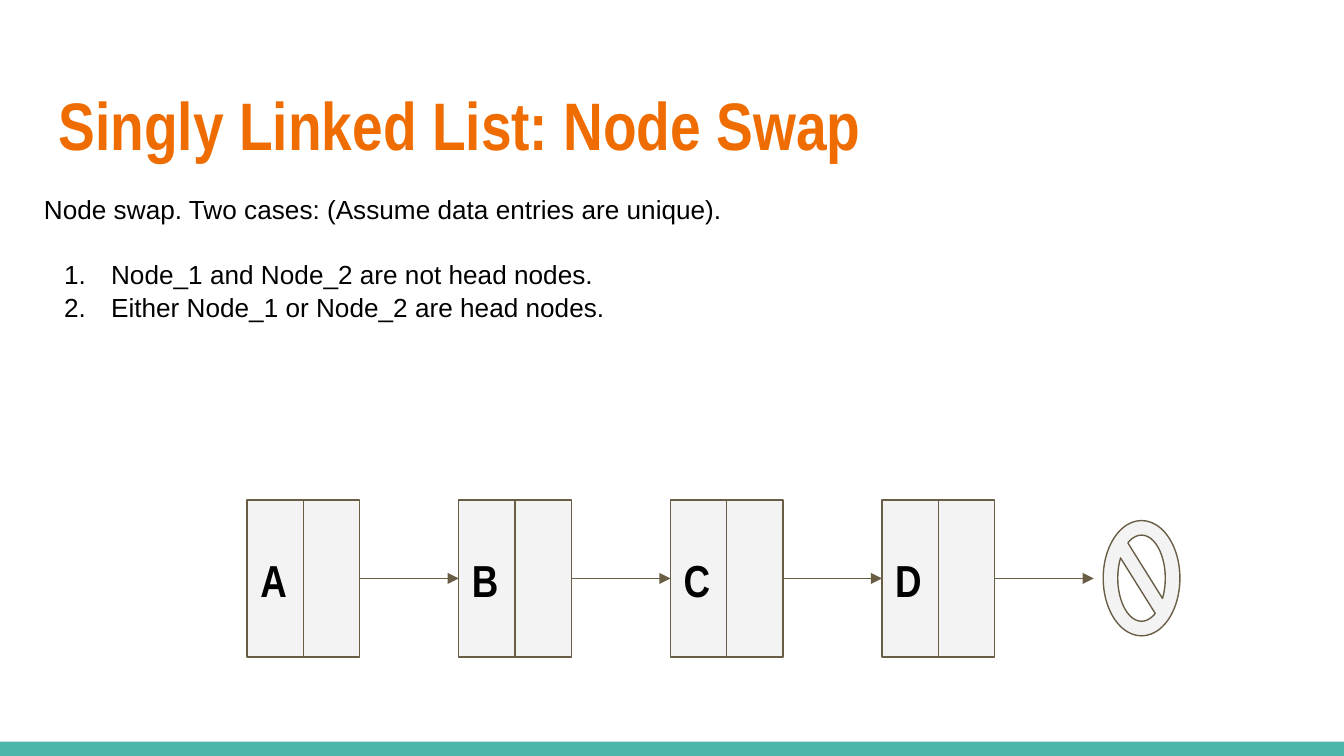
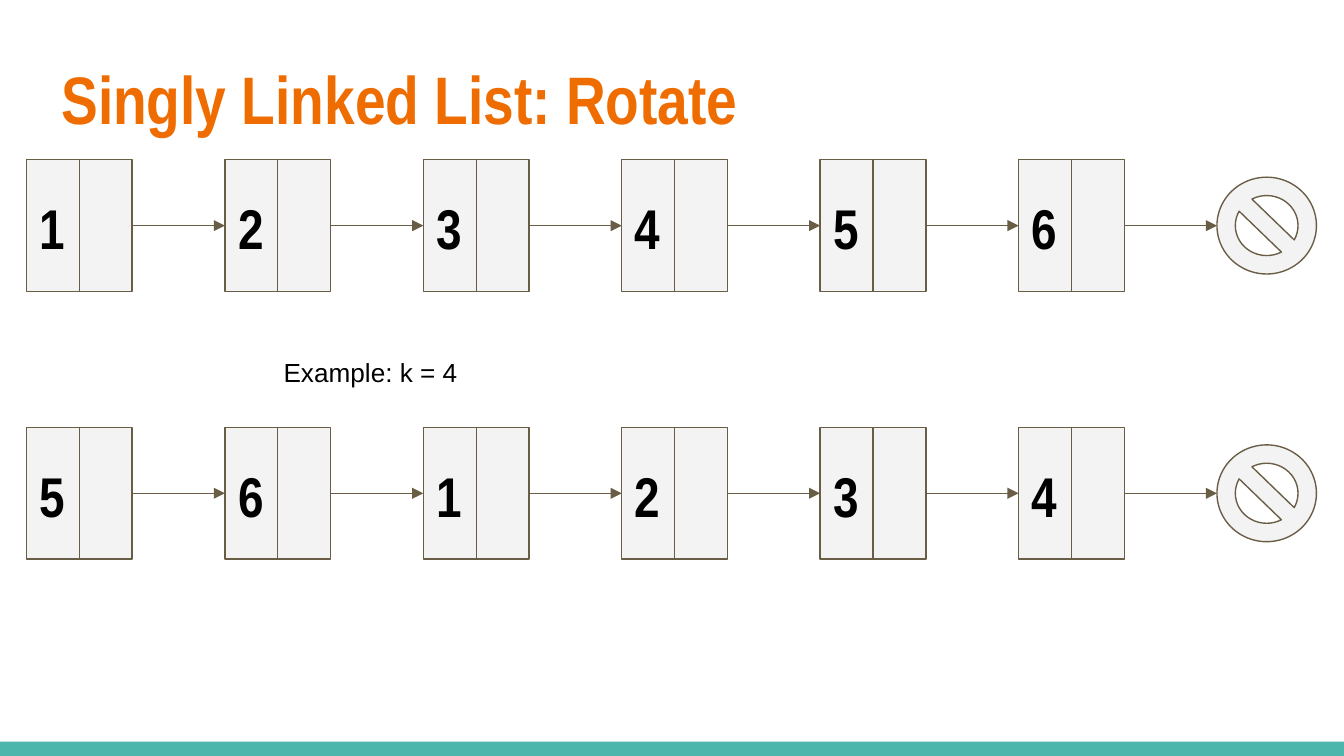
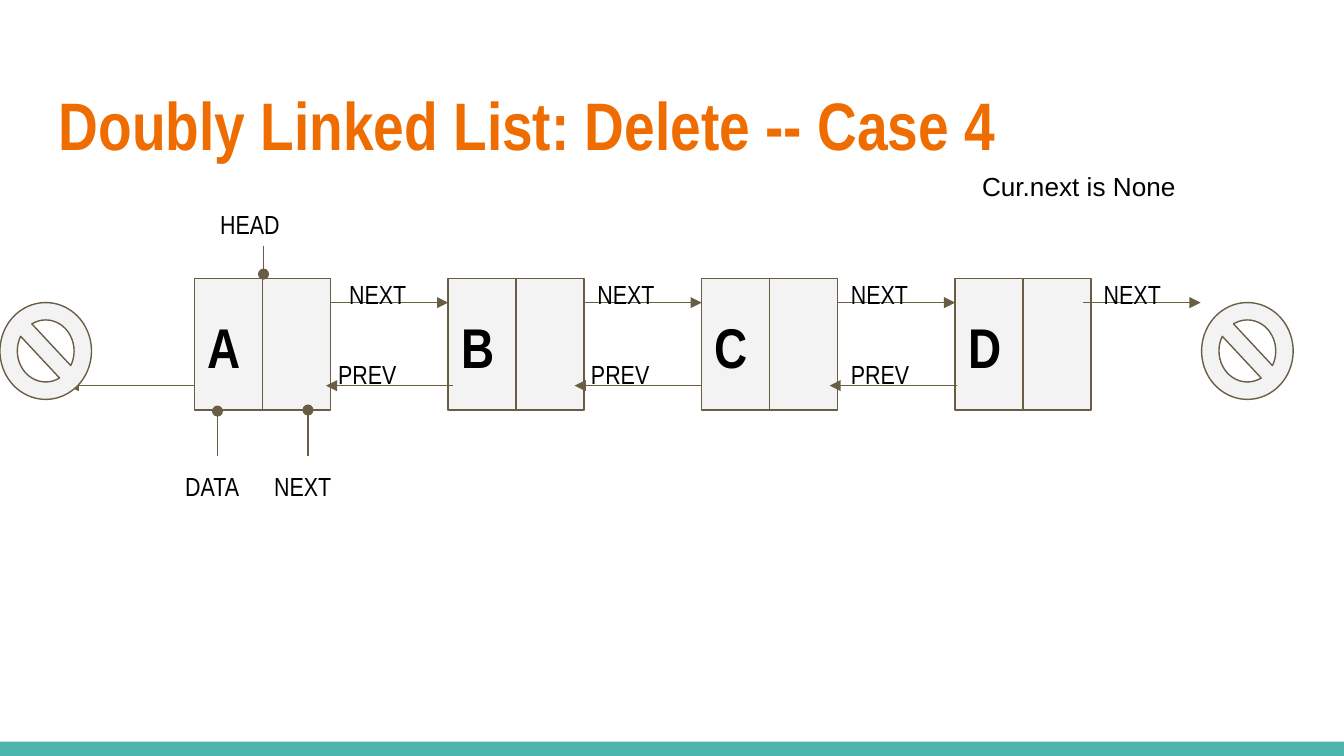
from lxml import etree
from pptx import Presentation
from pptx import util as u
from pptx.dml.color import RGBColor
from pptx.enum import shapes, text
from pptx.oxml.ns import qn

COLORS = {"title": "EF6C00", "text": "000000", "band": "4DB6AC",
          "node": "F3F3F3", "line": "695D46"}
TITLE = {"name": "Arial Narrow", "size": u.Pt(36), "bold": True}
NODE = {"name": "Arial Narrow", "size": u.Pt(30), "bold": True}
SMALL_NODE = {**NODE, "size": u.Pt(24)}
LABEL = {"name": "Arial Narrow", "size": u.Pt(14), "bold": False}
BODY = {**LABEL, "name": "Arial"}
FRAME = {"word_wrap": True, "auto_size": text.MSO_AUTO_SIZE.NONE,
         "margin_left": u.Cm(0.25), "margin_right": u.Cm(0.25),
         "margin_top": u.Cm(0.25), "margin_bottom": u.Cm(0.25)}
PARAGRAPH = {"alignment": text.PP_ALIGN.LEFT, "line_spacing": 1.05,
             "space_before": u.Pt(0), "space_after": u.Pt(0)}


def write(tf, lines, font, color="text", anchor=text.MSO_ANCHOR.TOP):
    for k, v in {**FRAME, "vertical_anchor": anchor}.items():
        setattr(tf, k, v)
    for i, line in enumerate(lines):
        p = tf.add_paragraph() if i else tf.paragraphs[0]
        for k, v in PARAGRAPH.items():
            setattr(p, k, v)
        r = p.add_run()
        r.text = line
        for k, v in font.items():
            setattr(r.font, k, v)
        r.font.color.rgb = RGBColor.from_string(COLORS[color])


def connect(s, x1, y1, x2, y2, tail=None):
    c = s.shapes.add_connector(shapes.MSO_CONNECTOR.STRAIGHT,
                               u.Cm(x1), u.Cm(y1), u.Cm(x2), u.Cm(y2))
    c.line.color.rgb = RGBColor.from_string(COLORS["line"])
    c.line.width = u.Pt(0.75)
    if tail:
        ln = c.element.spPr.find(qn("a:ln"))
        etree.SubElement(ln, qn("a:tailEnd"), type=tail)
    etree.SubElement(c.element.spPr, qn("a:effectLst"))


prs = Presentation()
prs.slide_width, prs.slide_height = u.Cm(25.4), u.Cm(14.29)

titles = [
    ("Singly Linked List: Node Swap", 1, 0.86, 1.24),
    ("Singly Linked List: Rotate", 5, 0.91, 0.76),
    ("Doubly Linked List: Delete -- Case 4", 5, 0.86, 1.24),
]
for title, layout, x, y in titles:
    s = prs.slides.add_slide(prs.slide_layouts[layout])
    sp = s.shapes.title
    sp.left, sp.top, sp.width, sp.height = u.Cm(x), u.Cm(y), u.Cm(23.67), u.Cm(1.96)
    write(sp.text_frame, [title], TITLE, "title")
swap, rotate, delete = prs.slides

band = swap.shapes.add_shape(shapes.MSO_SHAPE.RECTANGLE, 0, u.Cm(14.02),
                             prs.slide_width, u.Cm(0.27))
band.shadow.inherit = False
band.fill.solid()
band.fill.fore_color.rgb = RGBColor.from_string(COLORS["band"])
band.line.fill.background()
band.element.nvSpPr.cNvPr.set("id", "99")
prs.slide_master.element.cSld.spTree.insert(2, band.element)

sp = swap.placeholders[1]
sp.left, sp.top, sp.width, sp.height = u.Cm(0.58), u.Cm(3.38), u.Cm(14), u.Cm(4.01)
tf = sp.text_frame
write(tf, ["Node swap. Two cases: (Assume data entries are unique).",
           "Node_1 and Node_2 are not head nodes.",
           "Either Node_1 or Node_2 are head nodes."], BODY)
for i, p in enumerate(tf.paragraphs):
    pPr = p._p.get_or_add_pPr()
    pPr.set("marL", str(u.Cm(1.27) if i else 0))
    pPr.set("indent", str(u.Cm(-0.89) if i else 0))
    if i:
        etree.SubElement(pPr, qn("a:buFont"), typeface="Arial")
        etree.SubElement(pPr, qn("a:buAutoNum"), type="arabicPeriod")
    else:
        etree.SubElement(pPr, qn("a:buNone"))
tf.paragraphs[1].space_before = u.Pt(17)

chains = [
    (swap, "ABCD", 4.67, 9.45, 2.13, 2.97, 4, SMALL_NODE),
    (rotate, "123456", 0.5, 3.02, 2, 2.49, 3.75, NODE),
    (rotate, "561234", 0.5, 8.08, 2, 2.49, 3.75, NODE),
    (delete, "ABCD", 3.68, 5.26, 2.57, 2.49, 4.79, NODE),
]
for s, names, left, top, w, h, step, font in chains:
    for i, name in enumerate(names):
        x = left + i * step
        sp = s.shapes.add_shape(shapes.MSO_SHAPE.RECTANGLE,
                                u.Cm(x), u.Cm(top), u.Cm(w), u.Cm(h))
        sp.shadow.inherit = False
        sp.fill.solid()
        sp.fill.fore_color.rgb = RGBColor.from_string(COLORS["node"])
        sp.line.color.rgb = RGBColor.from_string(COLORS["line"])
        sp.line.width = u.Pt(0.75)
        write(sp.text_frame, [name], font, anchor=text.MSO_ANCHOR.MIDDLE)
        connect(s, x + w / 2, top, x + w / 2, top + h)
        if s is not delete:
            connect(s, x + w, top + h / 2, x + step, top + h / 2, "triangle")

for x in (6.25, 11.04, 15.83, 20.47):
    connect(delete, x, 5.72, x + 2.22, 5.72, "triangle")
for x in (18.08, 13.26, 8.56, 3.68):
    connect(delete, x, 7.29, x - 2.4, 7.29, "triangle")
for x, y1, y2 in [(4.98, 4.65, 5.18), (4.11, 8.61, 7.77), (5.82, 8.61, 7.75)]:
    connect(delete, x, y1, x, y2, "oval")

nulls = [
    (swap, 20.85, 9.84, 1.45, 2.18),
    (rotate, 23, 3.35, 1.88, 1.83),
    (rotate, 23, 8.41, 1.88, 1.83),
    (delete, 22.71, 5.72, 1.73, 1.83),
    (delete, 0, 5.72, 1.73, 1.83),
]
for s, *at in nulls:
    sp = s.shapes.add_shape(shapes.MSO_SHAPE.NO_SYMBOL, *map(u.Cm, at))
    sp.adjustments[0] = 0.19
    sp.shadow.inherit = False
    sp.fill.solid()
    sp.fill.fore_color.rgb = RGBColor.from_string(COLORS["node"])
    sp.line.color.rgb = RGBColor.from_string(COLORS["line"])
    sp.line.width = u.Pt(0.75)

labels = [
    (rotate, "Example: k = 4", 5.11, 6.45, 4.34, 0.64, BODY),
    (delete, "Cur.next is None", 18.31, 2.95, 5.33, 1.7, BODY),
    (delete, "HEAD", 3.91, 3.66, 2.44, 0.53, LABEL),
    (delete, "DATA", 3.25, 8.61, 1.78, 0.53, LABEL),
    (delete, "NEXT", 4.93, 8.61, 1.78, 0.53, LABEL),
]
labels += [(delete, "NEXT", x, 4.98, 2.44, 0.53, LABEL)
           for x in (6.35, 11.04, 15.83, 20.61)]
labels += [(delete, "PREV", x, 6.5, 2.44, 0.53, LABEL)
           for x in (6.14, 10.92, 15.83)]
for s, label, x, y, w, h, font in labels:
    sp = s.shapes.add_textbox(u.Cm(x), u.Cm(y), u.Cm(w), u.Cm(h))
    write(sp.text_frame, [label], font)

prs.save("out.pptx")
